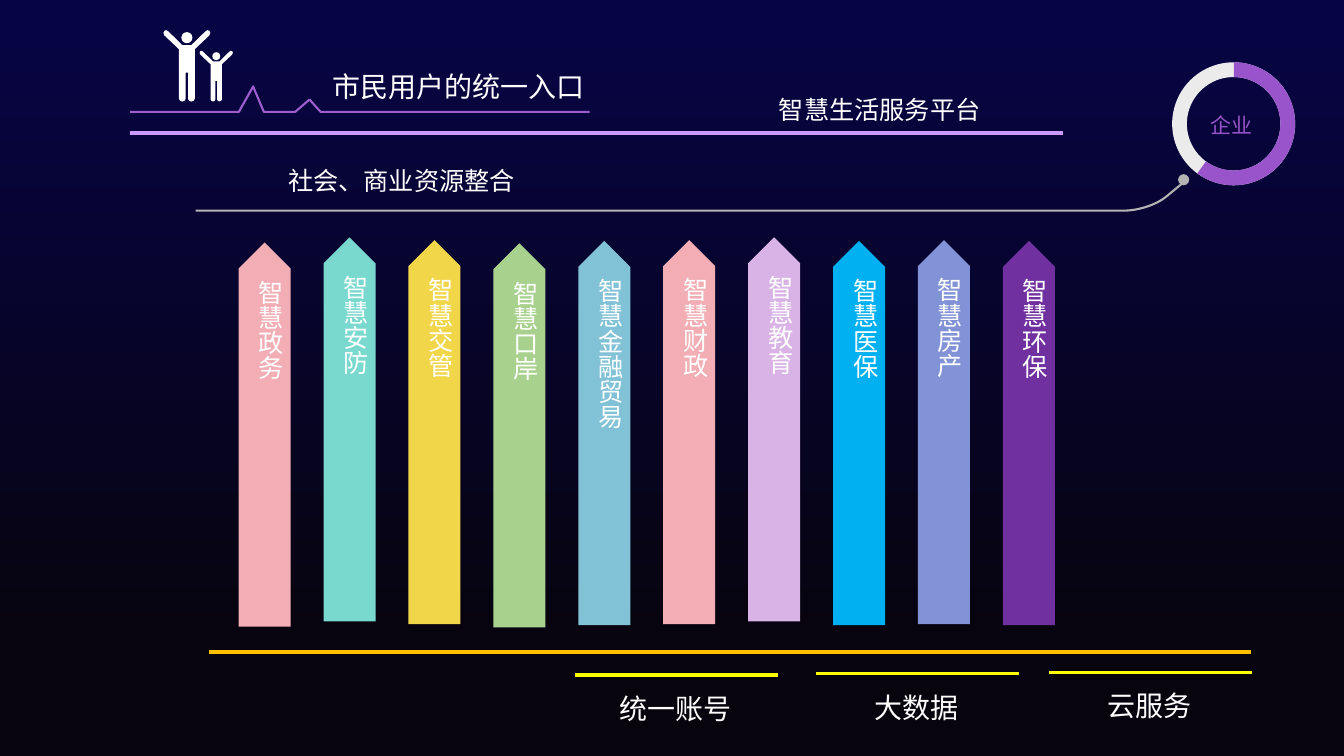
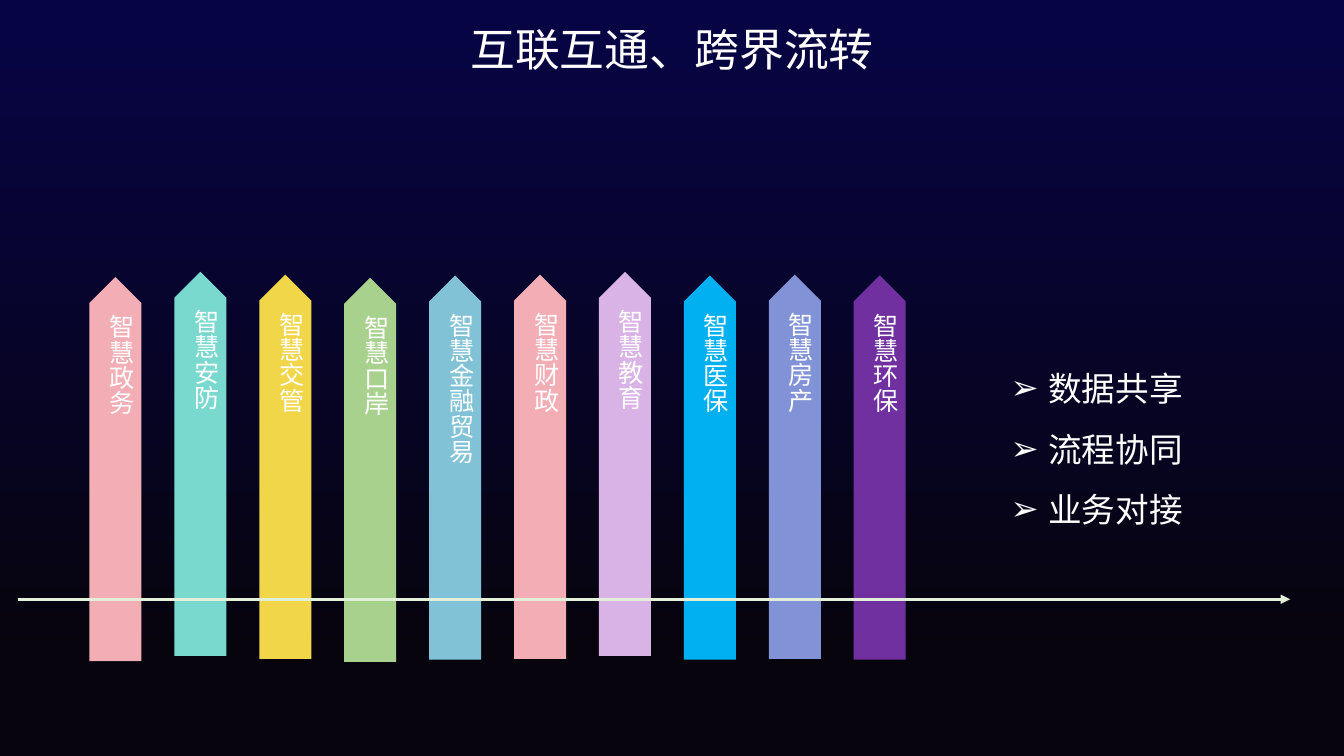
"""Build two slides on a smart-city service platform."""
import lxml.etree
import pptx
import pptx.dml.color
import pptx.enum.shapes
import pptx.enum.text
import pptx.oxml.ns
import pptx.util

Cm = pptx.util.Cm
Pt = pptx.util.Pt
qn = pptx.oxml.ns.qn
SHAPE = pptx.enum.shapes.MSO_SHAPE
ALIGN = pptx.enum.text.PP_ALIGN
ANCHOR = pptx.enum.text.MSO_ANCHOR

FONT = "Noto Sans CJK SC"
WHITE = "FFFFFF"
PURPLE = "9954CC"
GRAY = "B4B4B4"
YELLOW = "FFFF00"
BACKGROUND = [(0, "070446"), (0.87, "07040E")]

PILLAR_W, PILLAR_H, PILLAR_PITCH = 1.31, 9.68, 2.14
PILLARS = [
    ("智慧政务", "F2AEB4", 0.13),
    ("智慧安防", "79D9CF", 0),
    ("智慧交管", "F2D649", 0.07),
    ("智慧口岸", "A9D18E", 0.15),
    ("智慧金融贸易", "81C2D6", 0.09),
    ("智慧财政", "F2AEB4", 0.07),
    ("智慧教育", "D9B3E6", 0),
    ("智慧医保", "00B0F0", 0.09),
    ("智慧房产", "8192D6", 0.07),
    ("智慧环保", "7030A0", 0.09),
]
FOUNDATIONS = [
    ("统一账号", 14.5, 17.01),
    ("大数据", 20.57, 16.97),
    ("云服务", 26.44, 16.94),
]
HALF_BODY = [
    (0.11, 0.38), (0.47, 0.03), (0.52, 0), (0.57, 0.02), (0.59, 0.07),
    (0.57, 0.13), (0.2, 0.48), (0.2, 1.73), (0.17, 1.78), (0.11, 1.8),
    (0.06, 1.78), (0.03, 1.73), (0.03, 1.07),
]


def rgb(color):
    """Turn a hex string into a colour."""
    return pptx.dml.color.RGBColor.from_string(color)


def add_text(s, text, x, y, w, h, size=18, color=WHITE, font=FONT,
             align=ALIGN.LEFT, anchor=ANCHOR.TOP, spacing=1.0, wrap=True,
             grow=True, vertical=False, bullet=None):
    """Add a text box with one paragraph per line of text."""
    tf = s.shapes.add_textbox(Cm(x), Cm(y), Cm(w), Cm(h)).text_frame
    tf.word_wrap = wrap
    tf.vertical_anchor = anchor
    if grow:
        tf.auto_size = pptx.enum.text.MSO_AUTO_SIZE.SHAPE_TO_FIT_TEXT
    if vertical:
        tf._txBody.bodyPr.set("vert", "eaVert")
    for i, line in enumerate(text.split("\n")):
        p = tf.add_paragraph() if i else tf.paragraphs[0]
        p.alignment = align
        p.line_spacing = spacing
        if bullet:
            add_bullet(p, bullet)
        r = p.add_run()
        r.text = line
        r.font.name = font
        r.font.size = Pt(size)
        r.font.color.rgb = rgb(color)
        ea = lxml.etree.Element(qn("a:ea"), typeface=font)
        r._r.get_or_add_rPr().find(qn("a:latin")).addnext(ea)


def add_bullet(p, char):
    """Give a paragraph a hanging bullet."""
    pPr = p._p.get_or_add_pPr()
    indent = Cm(0.95)
    pPr.set("marL", str(indent))
    pPr.set("indent", str(-indent))
    lxml.etree.SubElement(pPr, qn("a:buFont"), typeface="Arial")
    lxml.etree.SubElement(pPr, qn("a:buChar"), char=char)


def add_line(s, x, y, length, color, width, arrow=False):
    """Add a horizontal line, with an arrowhead if asked."""
    line = s.shapes.add_connector(pptx.enum.shapes.MSO_CONNECTOR.STRAIGHT,
                                  Cm(x), Cm(y), Cm(x + length), Cm(y))
    line.line.color.rgb = rgb(color)
    line.line.width = Pt(width)
    if arrow:
        ln = line.line._get_or_add_ln()
        lxml.etree.SubElement(ln, qn("a:tailEnd"), type="triangle")
    lxml.etree.SubElement(line._element.spPr, qn("a:effectLst"))


def paint(sp, color):
    """Give a shape a plain fill, no outline and no shadow."""
    sp.shadow.inherit = False
    sp.fill.solid()
    sp.fill.fore_color.rgb = rgb(color)
    sp.line.fill.background()


def add_shape(s, kind, x, y, w, h, color, adjust=(), rotation=0):
    """Add a preset shape in one colour."""
    sp = s.shapes.add_shape(kind, Cm(x), Cm(y), Cm(w), Cm(h))
    paint(sp, color)
    for i, value in enumerate(adjust):
        sp.adjustments[i] = value
    sp.rotation = rotation


def add_outline(s, points, close):
    """Add a freeform through points."""
    start, *rest = [(Cm(x), Cm(y)) for x, y in points]
    builder = s.shapes.build_freeform(*start)
    builder.add_line_segments(rest, close=close)
    return builder.convert_to_shape()


def add_polyline(s, points, color, width=1.5):
    """Add an open, unfilled outline."""
    sp = add_outline(s, points, False)
    sp.shadow.inherit = False
    sp.fill.background()
    sp.line.color.rgb = rgb(color)
    sp.line.width = Pt(width)


def curve(a, b, c, d, steps=12):
    """Sample a cubic curve from a to d."""
    ts = [i / steps for i in range(steps + 1)]
    return [tuple((1 - t) ** 3 * a[k] + 3 * t * (1 - t) ** 2 * b[k]
                  + 3 * t * t * (1 - t) * c[k] + t ** 3 * d[k] for k in (0, 1))
            for t in ts]


def add_person(s, cx, top, scale):
    """Add a figure with raised arms."""
    body = HALF_BODY + [(-x, y) for x, y in reversed(HALF_BODY)]
    points = [(cx + x * scale, top + y * scale) for x, y in body]
    paint(add_outline(s, points, True), WHITE)
    head = 0.28 * scale
    add_shape(s, SHAPE.OVAL, cx - head / 2, top + 0.05 * scale, head, head, WHITE)


def add_pillars(s, first_cx, top):
    """Add the row of upright service pillars."""
    for i, (name, color, drop) in enumerate(PILLARS):
        cx, y = first_cx + i * PILLAR_PITCH, top + drop
        add_shape(s, SHAPE.PENTAGON, cx - PILLAR_H / 2,
                  y + (PILLAR_H - PILLAR_W) / 2, PILLAR_H, PILLAR_W, color,
                  rotation=270)
        add_text(s, name, cx - 0.62, y + 0.7, 1.27, 8.23, vertical=True, grow=False)


def add_enterprise_ring(s):
    """Add the progress ring for enterprises."""
    ring = (29.54, 1.57, 3.1, 3.1)
    add_shape(s, SHAPE.DONUT, *ring, "EBEBEB", [0.12])
    add_shape(s, SHAPE.BLOCK_ARC, *ring, PURPLE, [162.17, 75.76, 0.12])
    add_text(s, "企业", 29.74, 2.62, 2.57, 1.07, size=15, color=PURPLE, font="Arial",
             align=ALIGN.CENTER, anchor=ANCHOR.MIDDLE, wrap=False, grow=False)


def platform_slide(s):
    """Show the platform, its services and its foundations."""
    add_line(s, 5.26, 16.43, 26.27, "FFC000", 3)
    for name, x, y in FOUNDATIONS:
        add_line(s, x, y, 5.1, YELLOW, 2.25)
        add_text(s, name, x - 0.5, y + 0.39, 6.07, 1.02, size=20,
                 align=ALIGN.CENTER, spacing=0.9)
    base = 2.82
    add_polyline(s, [(3.28, base), (6.02, base), (6.38, 2.18), (6.65, base),
                     (7.44, base), (7.8, 2.51), (8.08, base), (14.86, base)], "9E5ECE")
    add_line(s, 3.28, 3.35, 23.52, "CC99FF", 2.25)
    add_text(s, "市民用户的统一入口", 8.13, 1.73, 12.6, 1.02, size=20, spacing=0.9)
    add_pillars(s, 6.67, 5.98)
    add_text(s, "智慧生活服务平台", 19.3, 2.24, 5.66, 1.02, align=ALIGN.RIGHT)
    bend = curve((28.32, 5.31), (28.68, 5.31), (29.16, 5.16), (29.41, 4.94))
    add_polyline(s, [(4.93, 5.31), *bend, (29.87, 4.56)], GRAY)
    add_shape(s, SHAPE.OVAL, 29.69, 4.39, 0.28, 0.28, GRAY)
    add_enterprise_ring(s)
    add_person(s, 4.71, 0.76, 1)
    add_person(s, 5.45, 1.28, 0.71)
    add_text(s, "社会、商业资源整合", 7.01, 4.04, 10.46, 1.02)


def exchange_slide(s):
    """Show the services linked by one arrow."""
    add_text(s, "互联互通、跨界流转", 2.26, 0.41, 29.36, 1.78, size=32,
             align=ALIGN.CENTER, anchor=ANCHOR.MIDDLE, spacing=0.9, grow=False)
    add_pillars(s, 2.91, 6.85)
    add_line(s, 0.46, 15.1, 32.05, "E2F0D9", 2.25, arrow=True)
    add_text(s, "数据共享\n流程协同\n业务对接", 25.22, 8.64, 7.29, 4.7, size=24,
             spacing=1.5, bullet="➢")


def set_background(master):
    """Give the master a vertical gradient."""
    fill = master.background.fill
    fill.gradient()
    fill.gradient_angle = 270
    for stop, (position, color) in zip(fill.gradient_stops, BACKGROUND):
        stop.position = position
        stop.color.rgb = rgb(color)


def main():
    """Build and save the presentation."""
    prs = pptx.Presentation()
    prs.slide_width, prs.slide_height = Cm(33.87), Cm(19.05)
    set_background(prs.slide_master)
    for build in (platform_slide, exchange_slide):
        build(prs.slides.add_slide(prs.slide_layouts[6]))
    prs.save("out.pptx")


if __name__ == "__main__":
    main()
